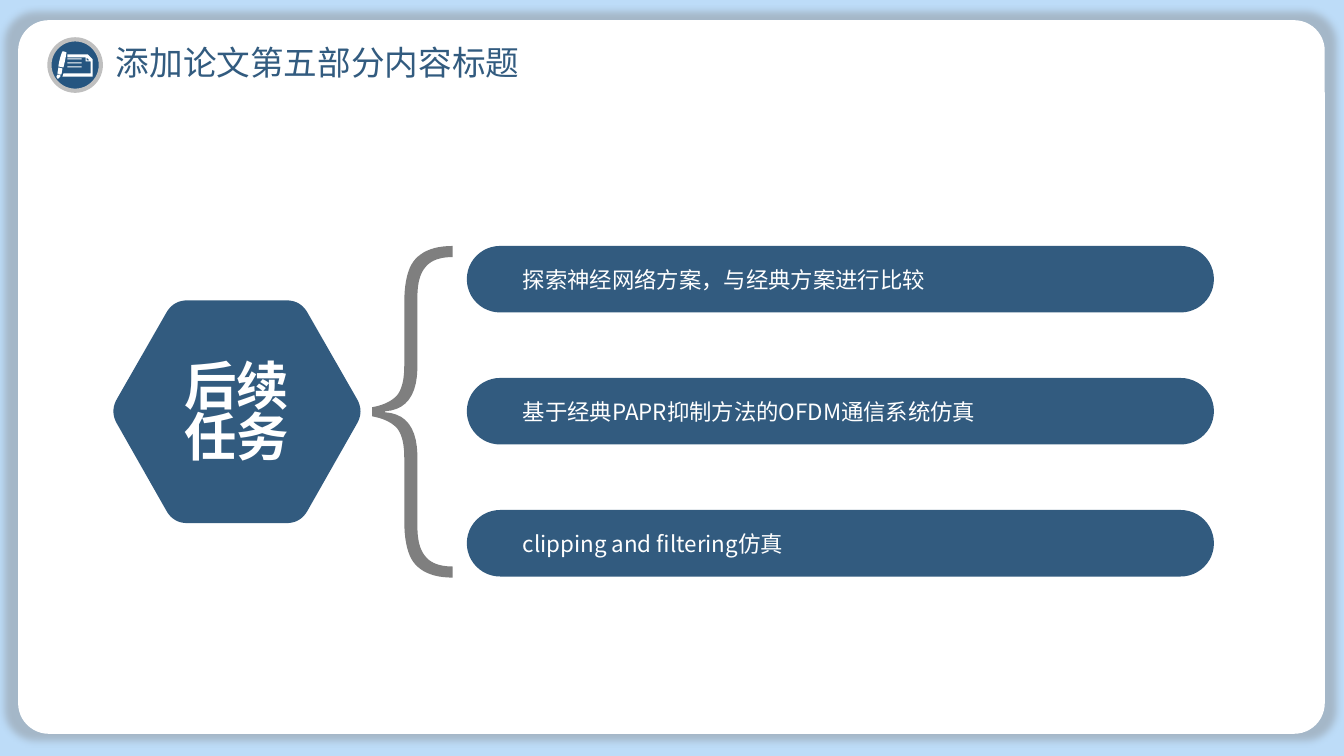
from dataclasses import dataclass

from lxml import etree
from pptx import Presentation
from pptx import util as u
from pptx.dml.color import RGBColor
from pptx.enum import shapes, text
from pptx.oxml import ns

PX = 9144  # EMU in one px, 100 px to the inch


@dataclass(frozen=True)
class Theme:
    sky: str = "BDDCF8"
    white: str = "FFFFFF"
    navy: str = "325B7F"
    badge: str = "255580"
    ring: str = "BFBFBF"
    grey: str = "7F7F7F"
    shadow: str = "808080"
    title_font: str = "Noto Sans CJK JP"
    font: str = "Noto Sans CJK SC"
    title_size: float = 24
    hub_size: float = 37.4
    item_size: float = 16


def flatten(outline, steps=10):
    """Turn (x, y) corners and (cx, cy, x, y) quadratic curves into EMU points."""
    points = []
    for *ctrl, x, y in outline:
        if not ctrl:
            points.append((x, y))
            continue
        (x0, y0), (cx, cy) = points[-1], ctrl
        for i in range(1, steps + 1):
            t = i / steps
            a, b, c = (1 - t) ** 2, 2 * t * (1 - t), t * t
            points.append((a * x0 + b * cx + c * x, a * y0 + b * cy + c * y))
    return [(round(x * PX), round(y * PX)) for x, y in points]


def rounded_polygon(corners, cut):
    """Replace each corner by a curve that starts and ends cut px away from it."""
    def toward(a, b):
        k = cut / ((b[0] - a[0]) ** 2 + (b[1] - a[1]) ** 2) ** 0.5
        return a[0] + k * (b[0] - a[0]), a[1] + k * (b[1] - a[1])

    outline = []
    for i, corner in enumerate(corners):
        outline.append(toward(corner, corners[i - 1]))
        outline.append((*corner, *toward(corner, corners[(i + 1) % len(corners)])))
    return outline


def box(left, top, right, bottom):
    return [(left, top), (right, top), (right, bottom), (left, bottom)]


class SlideBuilder:
    def __init__(self, prs, theme):
        self.theme = theme
        self.s = prs.slides.add_slide(prs.slide_layouts[5])
        fill = self.s.background.fill
        fill.solid()
        fill.fore_color.rgb = RGBColor.from_string(theme.sky)

    def paint(self, sp, color):
        sp.shadow.inherit = False
        sp.fill.solid()
        sp.fill.fore_color.rgb = RGBColor.from_string(color)
        sp.line.fill.background()
        return sp

    def shape(self, kind, left, top, width, height, color, adj=None):
        sp = self.s.shapes.add_shape(kind, *(n * PX for n in (left, top, width, height)))
        if adj is not None:
            sp.adjustments[0] = adj
        return self.paint(sp, color)

    def freeform(self, outlines, color):
        first, *rest = [flatten(outline) for outline in outlines]
        fb = self.s.shapes.build_freeform(*first[0])
        fb.add_line_segments(first[1:])
        for points in rest:
            fb.move_to(*points[0])
            fb.add_line_segments(points[1:])
        return self.paint(fb.convert_to_shape(), color)

    def glow(self, sp):
        """Add a soft shadow slightly larger than the shape."""
        effects = sp.element.spPr.find(ns.qn("a:effectLst"))
        shadow = etree.SubElement(effects, ns.qn("a:outerShdw"), blurRad=str(u.Pt(5)),
                                  sx="102000", sy="102000", algn="ctr", rotWithShape="0")
        color = etree.SubElement(shadow, ns.qn("a:srgbClr"), val=self.theme.shadow)
        etree.SubElement(color, ns.qn("a:alpha"), val="40000")

    def set_text(self, sp, words, size, color, font, insets, align=text.PP_ALIGN.LEFT,
                 bold=False, spacing=1.0):
        tf = sp.text_frame
        tf.text = words
        tf.word_wrap = True
        tf.auto_size = text.MSO_AUTO_SIZE.NONE
        tf.vertical_anchor = text.MSO_ANCHOR.MIDDLE
        tf.margin_left, tf.margin_top, tf.margin_right, tf.margin_bottom = (
            n * PX for n in insets)
        p = tf.paragraphs[0]
        p.alignment = align
        p.line_spacing = spacing
        r = p.runs[0]
        r.font.size = u.Pt(size)
        r.font.bold = bold
        r.font.name = font
        r.font.color.rgb = RGBColor.from_string(color)
        etree.SubElement(r._r.get_or_add_rPr(), ns.qn("a:ea"), typeface=font)

    def title(self, words, left, top, width, height):
        sp = self.s.shapes.title
        sp.left, sp.top, sp.width, sp.height = (n * PX for n in (left, top, width, height))
        sp.element.getparent().append(sp.element)  # in front of the card
        t = self.theme
        self.set_text(sp, words, t.title_size, t.navy, t.title_font, (13, 7, 13, 7))

    def card(self):
        self.glow(self.shape(shapes.MSO_SHAPE.ROUNDED_RECTANGLE, 18, 20, 1296, 708,
                             self.theme.white, 0.043))

    def badge(self):
        """Round badge with a pen beside a sheet of paper."""
        sp = self.shape(shapes.MSO_SHAPE.OVAL, 49, 39, 51, 51, self.theme.badge)
        sp.line.color.rgb = RGBColor.from_string(self.theme.ring)
        sp.line.width = u.Pt(3)
        pen = [(62, 51), (64, 51, 66, 52), (65, 59, 63, 67), (58, 66), (59, 58, 62, 51)]
        grip = [(58, 67), (62, 68), (61, 74), (57, 73)]
        nib = [(57, 74), (60, 74), (60, 76), (58, 78), (57, 78), (56, 76)]
        sheet = [(63, 73), (62, 76), (92, 76), (92, 59), (87, 54), (67, 54), (67, 57),
                 (85, 57), (85, 61), (90, 61), (90, 73)]
        fold = [(89, 60), (86, 60), (86, 57)]
        lines = [box(67, y, 81, y + 1) for y in (58, 62, 66)]
        self.freeform([pen, grip, nib, sheet, fold, *lines], self.theme.white)

    def hub(self, words):
        corners = [(361, 408), (298, 519), (172, 519), (109, 408), (172, 298), (298, 298)]
        t = self.theme
        sp = self.freeform([rounded_polygon(corners, 14)], t.navy)
        self.set_text(sp, words, t.hub_size, t.white, t.font, (56, 8, 56, 0),
                      text.PP_ALIGN.CENTER, bold=True, spacing=0.82)

    def brace(self):
        """Draw the upper half, its mirror image below and the tip between them."""
        half = [(369, 404), (386, 401, 394, 392), (401, 383, 401, 363), (401, 301),
                (401, 269, 412, 257), (424, 244, 449, 244), (449, 255),
                (430, 255, 422, 265), (414, 274, 414, 295), (414, 366),
                (413, 406, 382, 408)]
        lower = [tuple(n if i % 2 == 0 else 817 - n for i, n in enumerate(node))
                 for node in half]
        tip = [(369, 404), (382, 408), (382, 409), (369, 413)]
        self.freeform([half, lower, tip], self.theme.grey)

    def pill(self, words, top):
        t = self.theme
        sp = self.shape(shapes.MSO_SHAPE.ROUNDED_RECTANGLE, 463, top, 741, 66, t.navy, 0.5)
        self.set_text(sp, words, t.item_size, t.white, t.font, (46, 0, 73, 0))


def main():
    prs = Presentation()
    prs.slide_width, prs.slide_height = 1333 * PX, 750 * PX
    slide = SlideBuilder(prs, Theme())
    slide.card()
    slide.title("添加论文第五部分内容标题", 102, 35, 445, 54)
    slide.badge()
    slide.hub("后续任务")
    slide.brace()
    tasks = ("探索神经网络方案，与经典方案进行比较",
             "基于经典PAPR抑制方法的OFDM通信系统仿真",
             "clipping and filtering仿真")
    for i, task in enumerate(tasks):
        slide.pill(task, 244 + 131 * i)
    prs.save("out.pptx")


if __name__ == "__main__":
    main()
